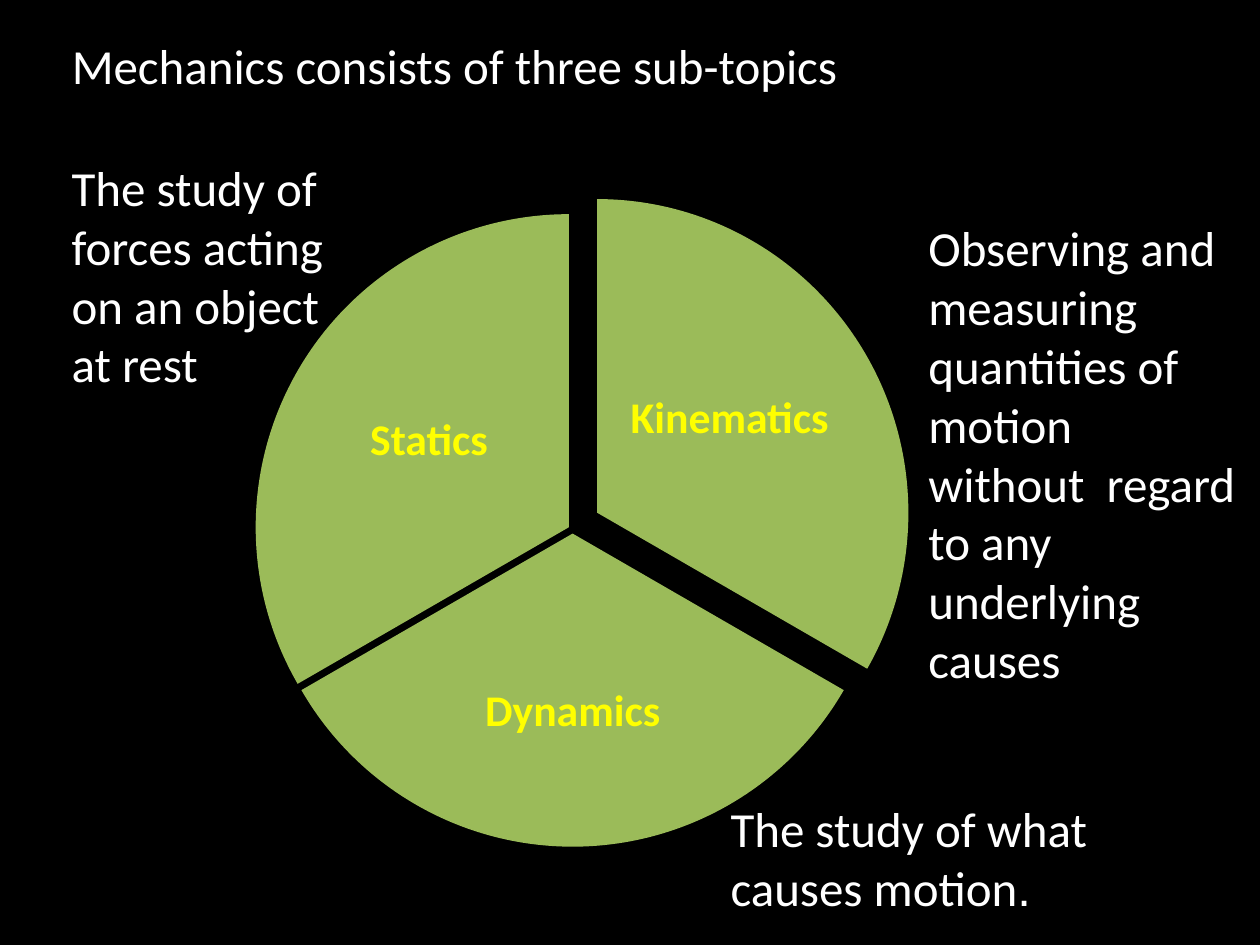
from pptx import Presentation
from pptx import util as u
from pptx.dml import color
from pptx.enum import shapes, text

COLUMNS, ROWS = 100, 75
CELL = u.Inches(0.1)
COLORS = {"background": "000000", "slice": "9BBB59", "label": "FFFF00", "body": "FFFFFF"}
TITLE = "Mechanics consists of three sub-topics"
TITLE_BOX = (4.7, 2.3, 93.3, 5.8)

TOPICS = [
    ("Kinematics", (22.7, 15.8, 49.4, 49.8), (162, 18), (49.5, 25, 16.8, 16.6)),
    ("Dynamics", (20.6, 17.5, 49.7, 49.7), (18, 90), (34.2, 48.8, 22.5, 15.4)),
    ("Statics", (20.3, 17, 49.7, 49.7), (90, 162), (25.6, 26.7, 16.9, 16.6)),
]

DESCRIPTIONS = [
    ((72.7, 16.8, 26.6, 38.7), [
        [("Observing and measuring ", "Calibri")],
        [("quantities of motion without  regard to any underlying causes", "Calibri")],
    ]),
    ((57, 62.9, 36.7, 10.4), [
        [("The study of what causes motion", "Calibri"), (". ", "Arial")],
    ]),
    ((4.7, 12, 24.1, 19.9), [
        [("The study of forces acting on an object at rest", "Calibri")],
    ]),
]


def rgb(name):
    return color.RGBColor.from_string(COLORS[name])


def grid(box):
    return [round(cells * CELL) for cells in box]


def format_run(run, size, color_name, name="Calibri", bold=False):
    run.font.size = u.Pt(size)
    run.font.name = name
    run.font.bold = bold
    run.font.color.rgb = rgb(color_name)


def add_title(slide):
    title = slide.shapes.title
    title.left, title.top, title.width, title.height = grid(TITLE_BOX)
    frame = title.text_frame
    frame.text = TITLE
    frame.vertical_anchor = text.MSO_ANCHOR.TOP
    frame.auto_size = text.MSO_AUTO_SIZE.NONE
    paragraph = frame.paragraphs[0]
    paragraph.alignment = text.PP_ALIGN.LEFT
    format_run(paragraph.runs[0], 28, "body")


def add_slice(slide, box, angles):
    shape = slide.shapes.add_shape(shapes.MSO_SHAPE.PIE, *grid(box))
    shape.adjustments[0], shape.adjustments[1] = angles
    shape.shadow.inherit = False
    shape.fill.solid()
    shape.fill.fore_color.rgb = rgb("slice")
    shape.line.fill.background()


def add_label(slide, label, box):
    frame = slide.shapes.add_textbox(*grid(box)).text_frame
    frame.word_wrap = True
    frame.vertical_anchor = text.MSO_ANCHOR.MIDDLE
    frame.margin_left = frame.margin_right = u.Inches(0.03)
    frame.margin_top = frame.margin_bottom = u.Inches(0.03)
    frame.text = label
    paragraph = frame.paragraphs[0]
    paragraph.alignment = text.PP_ALIGN.CENTER
    paragraph.line_spacing = 0.9
    format_run(paragraph.runs[0], 25, "label", bold=True)


def add_description(slide, box, paragraphs):
    frame = slide.shapes.add_textbox(*grid(box)).text_frame
    frame.word_wrap = True
    frame.auto_size = text.MSO_AUTO_SIZE.SHAPE_TO_FIT_TEXT
    for index, runs in enumerate(paragraphs):
        paragraph = frame.add_paragraph() if index else frame.paragraphs[0]
        for words, font_name in runs:
            run = paragraph.add_run()
            run.text = words
            format_run(run, 28, "body", font_name)


def main():
    presentation = Presentation()
    presentation.slide_width = COLUMNS * CELL
    presentation.slide_height = ROWS * CELL
    slide = presentation.slides.add_slide(presentation.slide_layouts[5])
    slide.background.fill.solid()
    slide.background.fill.fore_color.rgb = rgb("background")
    for label, slice_box, angles, label_box in TOPICS:
        add_slice(slide, slice_box, angles)
        add_label(slide, label, label_box)
    for box, paragraphs in DESCRIPTIONS:
        add_description(slide, box, paragraphs)
    add_title(slide)
    presentation.save("out.pptx")


main()
